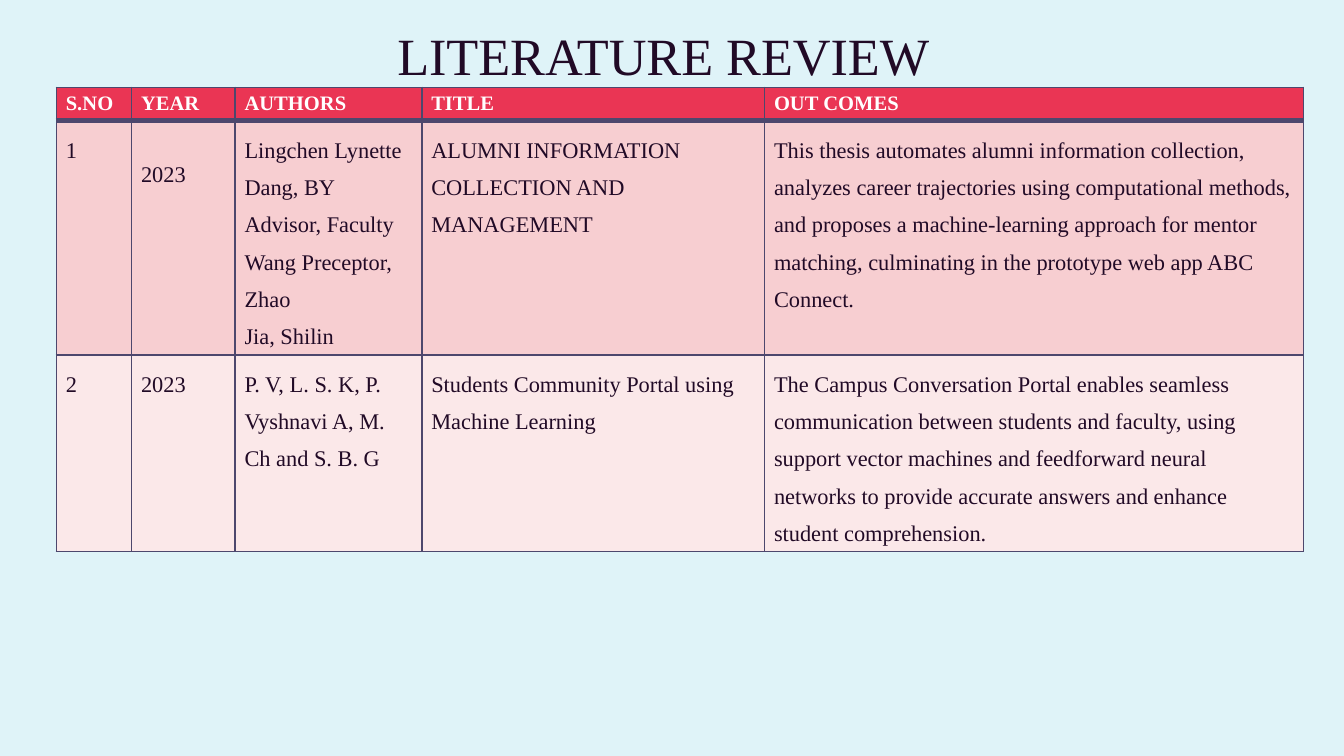
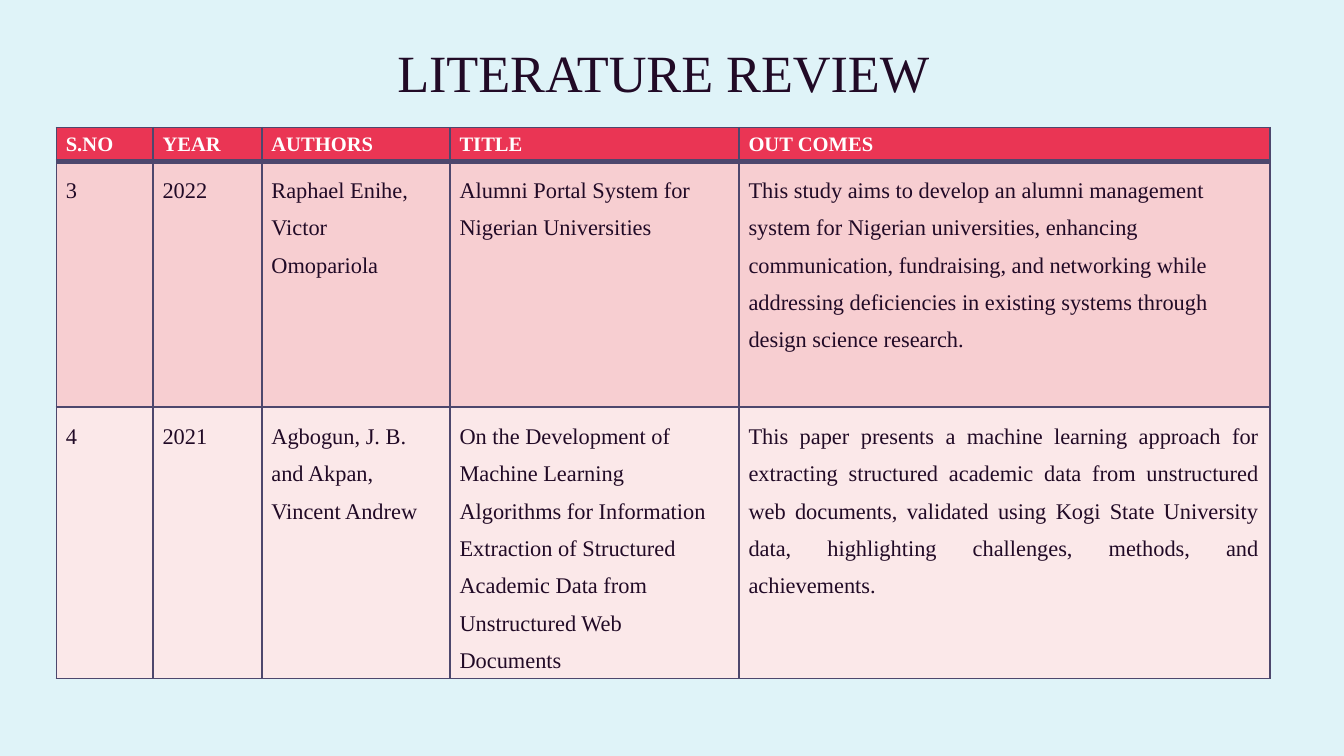
from lxml.etree import SubElement
from pptx import Presentation
from pptx.dml.color import RGBColor
from pptx.enum.text import MSO_ANCHOR, PP_ALIGN
from pptx.oxml import parse_xml
from pptx.oxml.ns import nsdecls, qn
from pptx.util import Inches, Pt

COLORS = {
    "background": "DFF3F8",
    "text": "210A26",
    "header": "EA3554",
    "header_text": "FFFFFF",
    "odd_row": "F7CED1",
    "even_row": "FBE8E9",
    "border": "4D476D",
}
FONT = "Times New Roman"
TITLE = "LITERATURE REVIEW"
HEADINGS = ["S.NO", "YEAR", "AUTHORS", "TITLE", "OUT COMES"]
TABLE_LEFT = 0.42
HEADER_HEIGHT = 0.25

REVIEWS = [
    {
        "title_top": 0,
        "table_top": 0.65,
        "columns": [0.56, 0.77, 1.39, 2.55, 4.01],
        "row_height": 1.2,
        "justified": [(2, 0), (2, 1)],
        "lowered": [(1, 1)],
        "papers": [
            ["1", "2023",
             "Lingchen Lynette Dang, BY\nAdvisor, Faculty\nWang Preceptor, Zhao\nJia, Shilin",
             "ALUMNI INFORMATION COLLECTION AND MANAGEMENT",
             "This thesis automates alumni information collection, analyzes career "
             "trajectories using computational methods, and proposes a machine-learning "
             "approach for mentor matching, culminating in the prototype web app ABC Connect."],
            ["2", "2023",
             "P. V, L. S. K, P. Vyshnavi A, M. Ch and S. B. G",
             "Students Community Portal using Machine Learning",
             "The Campus Conversation Portal enables seamless communication between "
             "students and faculty, using support vector machines and feedforward neural "
             "networks to provide accurate answers and enhance student comprehension."],
        ],
    },
    {
        "title_top": 0.13,
        "table_top": 0.95,
        "columns": [0.72, 0.81, 1.4, 2.15, 3.95],
        "row_height": 1.83,
        "justified": [(2, 0), (2, 1), (2, 4)],
        "lowered": [],
        "papers": [
            ["3", "2022",
             "Raphael Enihe, Victor Omopariola",
             "Alumni Portal System for Nigerian Universities",
             "This study aims to develop an alumni management system for Nigerian "
             "universities, enhancing communication, fundraising, and networking while "
             "addressing deficiencies in existing systems through design science research."],
            ["4", "2021",
             "Agbogun, J. B. and Akpan, Vincent Andrew",
             "On the Development of Machine Learning Algorithms for Information "
             "Extraction of Structured Academic Data from Unstructured Web Documents",
             "This paper presents a machine learning approach for extracting structured "
             "academic data from unstructured web documents, validated using Kogi State "
             "University data, highlighting challenges, methods, and achievements."],
        ],
    },
]


def rgb(name):
    return RGBColor.from_string(COLORS[name])


def style_font(p, size, color, bold=False):
    p.font.name = FONT
    p.font.size = Pt(size)
    p.font.bold = bold
    p.font.color.rgb = rgb(color)


def set_borders(cell, row):
    widths = {"L": 1, "R": 1, "T": 3 if row == 1 else 1, "B": 3 if row == 0 else 1}
    tc_pr = cell._tc.get_or_add_tcPr()
    for i, (side, width) in enumerate(widths.items()):
        ln = parse_xml(f'<a:ln{side} {nsdecls("a")} w="{Pt(width)}"/>')
        fill = SubElement(ln, qn("a:solidFill"))
        SubElement(fill, qn("a:srgbClr"), val=COLORS["border"])
        tc_pr.insert(i, ln)


def add_title(s, top):
    title = s.shapes.title
    title.left, title.top = Inches(1.28), Inches(top)
    title.width, title.height = Inches(7.31), Inches(1.05)
    tf = title.text_frame
    tf.text = TITLE
    tf.vertical_anchor = MSO_ANCHOR.TOP
    tf.margin_left = tf.margin_right = Inches(0.1)
    tf.margin_top = tf.margin_bottom = Inches(0.1)
    p = tf.paragraphs[0]
    p.alignment = PP_ALIGN.CENTER
    p.line_spacing = 1.15
    style_font(p, 28, "text")


def fill_cell(cell, text, row, justified, lowered):
    cell.text = text
    cell.margin_left = Inches(0.07)
    cell.margin_right = Inches(0.08)
    cell.margin_top = Inches(0.22) if lowered else Pt(2.7)
    cell.margin_bottom = Pt(2.7)
    cell.fill.solid()
    cell.fill.fore_color.rgb = rgb(("header", "odd_row", "even_row")[row])
    set_borders(cell, row)
    for p in cell.text_frame.paragraphs:
        p.alignment = PP_ALIGN.JUSTIFY if justified else PP_ALIGN.LEFT
        if row == 0:
            style_font(p, 11, "header_text", bold=True)
        else:
            p.line_spacing = 1.5
            style_font(p, 12, "text")


def add_review_table(s, review):
    rows = [HEADINGS] + review["papers"]
    columns = review["columns"]
    heights = [HEADER_HEIGHT] + [review["row_height"]] * len(review["papers"])
    table = s.shapes.add_table(
        len(rows), len(columns), Inches(TABLE_LEFT), Inches(review["table_top"]),
        Inches(sum(columns)), Inches(sum(heights))).table
    for column, width in zip(table.columns, columns):
        column.width = Inches(width)
    for row, height in zip(table.rows, heights):
        row.height = Inches(height)
    for r, texts in enumerate(rows):
        for c, text in enumerate(texts):
            fill_cell(table.cell(r, c), text, r,
                      (r, c) in review["justified"], (r, c) in review["lowered"])


def main():
    prs = Presentation()
    prs.slide_width = Inches(10)
    prs.slide_height = prs.slide_width * 9 // 16
    background = prs.slide_master.background.fill
    background.solid()
    background.fore_color.rgb = rgb("background")
    for review in REVIEWS:
        s = prs.slides.add_slide(prs.slide_layouts[5])
        add_title(s, review["title_top"])
        add_review_table(s, review)
    prs.save("out.pptx")


if __name__ == "__main__":
    main()
